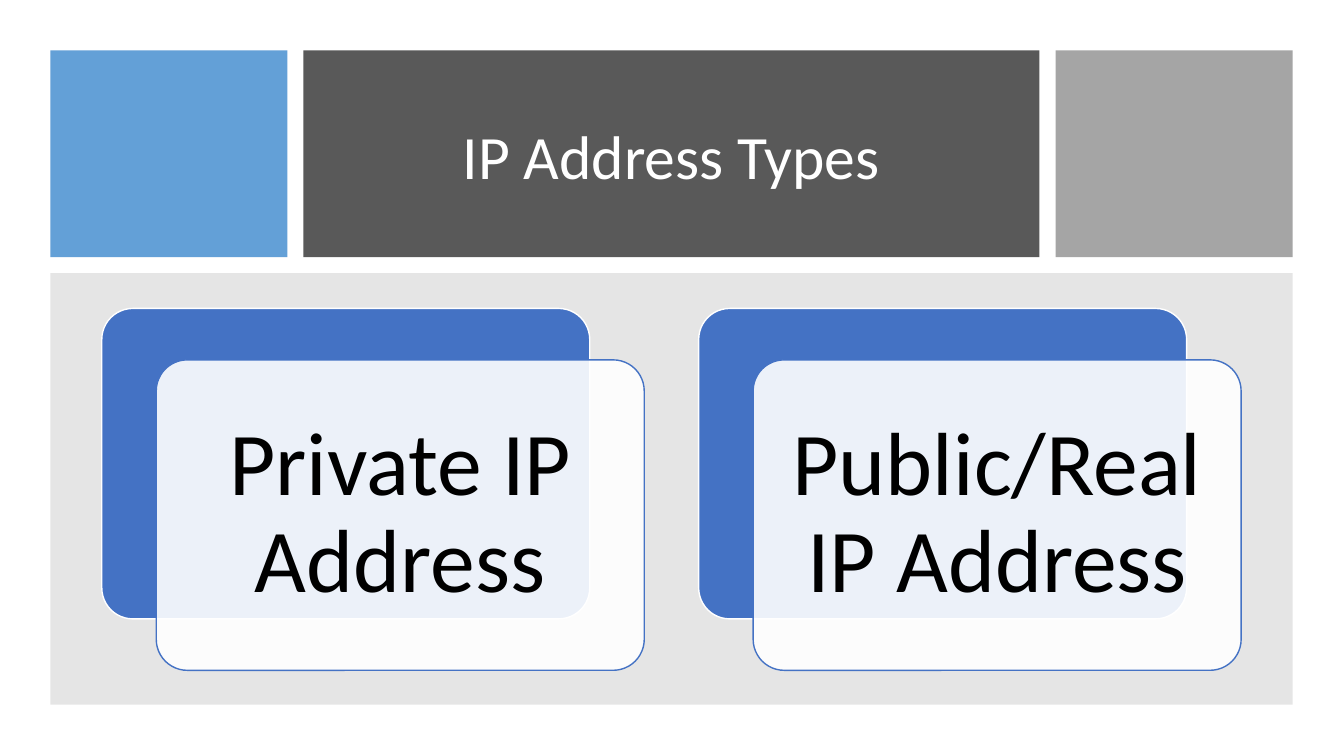
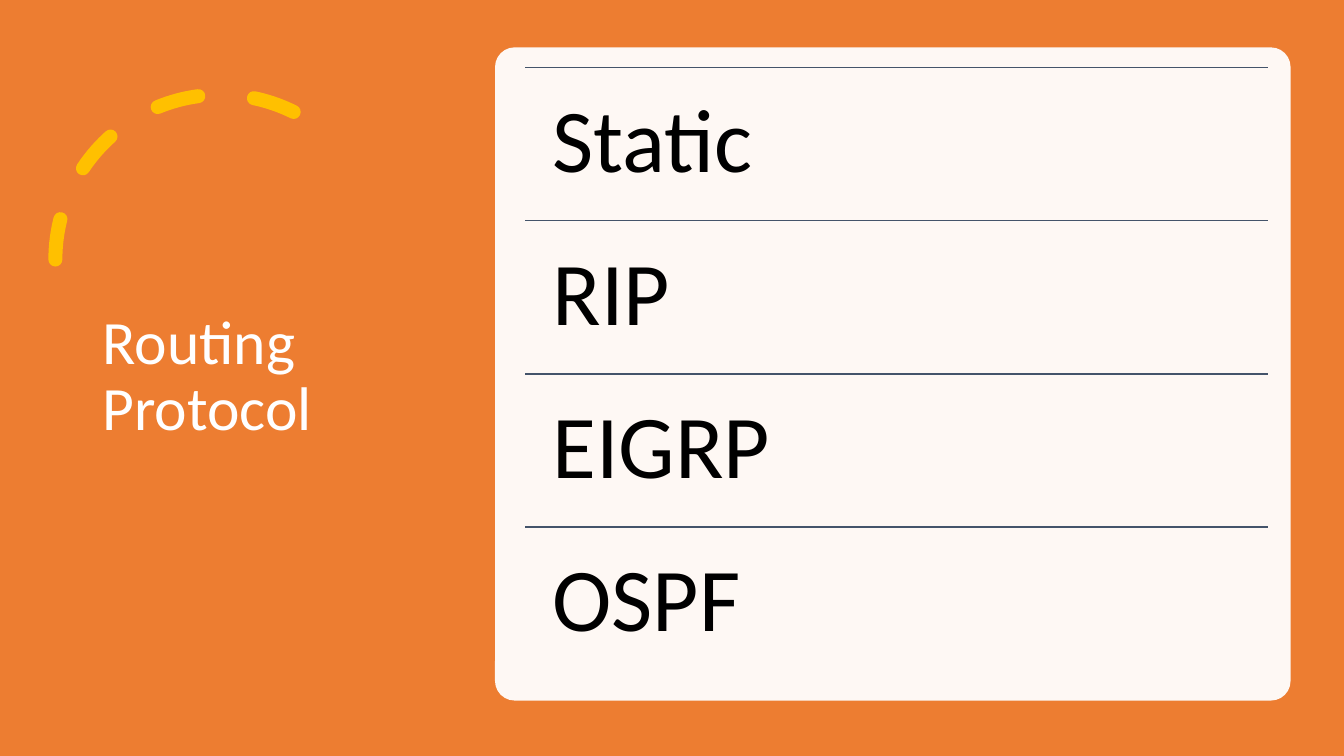
from collections import namedtuple

from lxml.etree import SubElement
from pptx import Presentation
from pptx.dml.color import RGBColor
from pptx.enum.dml import MSO_LINE_DASH_STYLE as Dash
from pptx.enum.shapes import MSO_CONNECTOR as Connector, MSO_SHAPE as Shape
from pptx.enum.text import MSO_ANCHOR as Anchor, PP_ALIGN as Align
from pptx.oxml.ns import qn
from pptx.util import Inches, Pt

COLOURS = {
    "white": "FFFFFF", "black": "000000", "sky": "5B9BD5", "charcoal": "595959",
    "silver": "A5A5A5", "grey": "808080", "blue": "4472C4", "orange": "ED7D31",
    "gold": "FFC000", "slate": "44546A",
}
TITLE = {"name": "Calibri", "size": Pt(44), "colour": "white"}
BODY = {"name": "Calibri", "size": Pt(64), "colour": "black"}
BODY_MARGIN = 0.27

Box = namedtuple("Box", "left top width height")


def colour(name):
    return RGBColor.from_string(COLOURS[name])


def inches(box):
    return [Inches(length) for length in box]


def within(box, left, top, width, height):
    """Return a box whose offsets count from the corner of another box."""
    return Box(box.left + left, box.top + top, width, height)


def add_panel(page, box, fill, kind=Shape.RECTANGLE, opacity=100, line=None, corner=None):
    panel = page.shapes.add_shape(kind, *inches(box))
    panel.shadow.inherit = False
    panel.fill.solid()
    panel.fill.fore_color.rgb = colour(fill)
    if opacity < 100:
        solid = panel.fill._xPr.find(qn("a:solidFill"))
        SubElement(solid[0], qn("a:alpha"), val=str(opacity * 1000))
    if line:
        panel.line.color.rgb = colour(line)
        panel.line.width = Pt(1)
    else:
        panel.line.fill.background()
    if corner is not None:
        panel.adjustments[0] = corner
    return panel


def add_text(page, box, text, style, align=Align.LEFT, anchor=Anchor.MIDDLE, margin=None):
    frame = page.shapes.add_textbox(*inches(box)).text_frame
    settings = {"word_wrap": True, "vertical_anchor": anchor}
    if margin is not None:
        for side in ("left", "right", "top", "bottom"):
            settings[f"margin_{side}"] = Inches(margin)
    for name, value in settings.items():
        setattr(frame, name, value)
    para = frame.paragraphs[0]
    para.alignment = align
    para.line_spacing = 0.9
    span = para.add_run()
    span.text = text
    for name, value in style.items():
        if name == "colour":
            span.font.color.rgb = colour(value)
        else:
            setattr(span.font, name, value)


def add_rule(page, left, top, width):
    rule = page.shapes.add_connector(
        Connector.STRAIGHT, *inches((left, top, left + width, top)))
    rule.line.color.rgb = colour("slate")
    rule.line.width = Pt(1)
    SubElement(rule._element.spPr, qn("a:effectLst"))


def add_dashed_arc(page, box):
    arc = page.shapes.add_shape(Shape.ARC, *inches(box))
    arc.shadow.inherit = False
    arc.fill.background()
    arc.adjustments[0] = 146.13
    arc.adjustments[1] = 0
    arc.line.color.rgb = colour("gold")
    arc.line.width = Pt(10)
    arc.line.dash_style = Dash.DASH
    properties = arc._element.spPr
    properties.find(qn("a:xfrm")).set("flipH", "1")
    properties.find(qn("a:ln")).set("cap", "rnd")


def add_header(page, box, title):
    side, gap = 2.35, 0.16
    middle = box.width - 2 * (side + gap)
    add_panel(page, within(box, 0, 0, side, box.height), "sky", opacity=95)
    add_panel(page, within(box, side + gap, 0, middle, box.height), "charcoal")
    add_panel(page, within(box, box.width - side, 0, side, box.height), "silver")
    add_text(page, within(box, 2.83, 0.3, 6.66, 1.56), title, TITLE, Align.CENTER)


def add_card(page, box, text):
    """Draw a blue card with a translucent one, holding the text, shifted over it."""
    shift_x, shift_y, pad = 0.54, 0.51, 0.09
    front = within(box, shift_x, shift_y, box.width, box.height)
    rounded = {"kind": Shape.ROUNDED_RECTANGLE, "corner": 0.1}
    add_panel(page, box, "blue", line="white", **rounded)
    add_panel(page, front, "white", opacity=90, line="blue", **rounded)
    inner = within(front, pad, pad, front.width - 2 * pad, front.height - 2 * pad)
    add_text(page, inner, text, BODY, Align.CENTER, margin=BODY_MARGIN)


def add_card_area(page, box, texts):
    add_panel(page, box, "grey", opacity=20)
    for index, text in enumerate(texts):
        add_card(page, within(box, 0.51 + 5.92 * index, 0.35, 4.84, 3.08), text)


def add_sidebar(page, box, title):
    add_dashed_arc(page, within(box, 0.55, 0.94, 3.27, 3.27))
    add_text(page, within(box, 0.92, 0.7, 3.23, 6.09), title, TITLE)


def add_ruled_list(page, box, entries):
    add_panel(page, box, "white", Shape.ROUNDED_RECTANGLE, opacity=95, corner=0.03)
    row_height = 1.52
    for index, entry in enumerate(entries):
        row = within(box, 0.3, 0.2 + index * row_height, 7.37, row_height)
        add_rule(page, row.left, row.top, row.width)
        add_text(page, row, entry, BODY, anchor=Anchor.TOP, margin=BODY_MARGIN)


def build_card_slide(page, title, texts):
    add_header(page, Box(0.5, 0.5, 12.32, 2.05), title)
    add_card_area(page, Box(0.5, 2.71, 12.32, 4.28), texts)


def build_list_slide(page, title, entries):
    whole = Box(0, 0, 13.33, 7.5)
    add_panel(page, whole, "orange")
    add_sidebar(page, whole, title)
    add_ruled_list(page, Box(4.91, 0.47, 7.89, 6.48), entries)


def main():
    deck = Presentation()
    deck.slide_width, deck.slide_height = Inches(13.33), Inches(7.5)
    slides = [
        (build_card_slide, "IP Address Types",
         ["Private IP Address", "Public/Real IP Address"]),
        (build_list_slide, "Routing Protocol", ["Static", "RIP", "EIGRP", "OSPF"]),
    ]
    for build, title, entries in slides:
        build(deck.slides.add_slide(deck.slide_layouts[6]), title, entries)
    deck.save("out.pptx")


if __name__ == "__main__":
    main()
